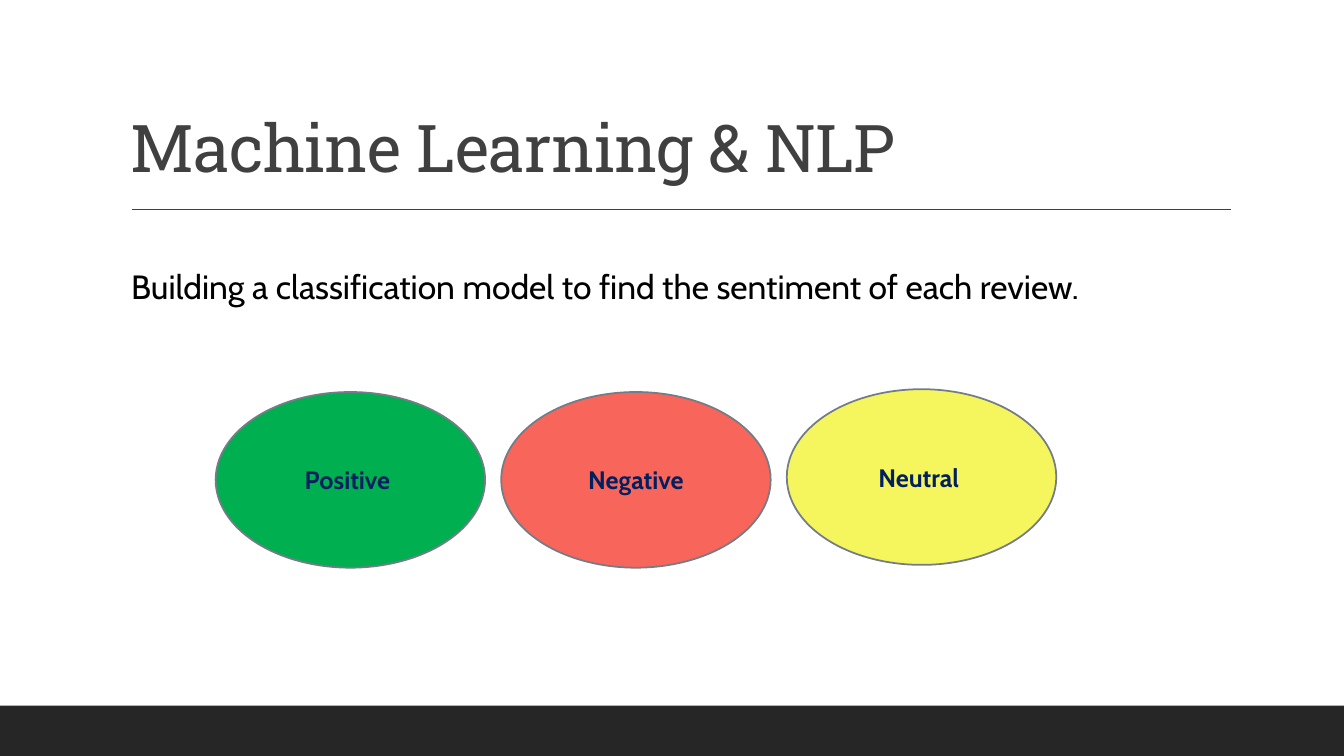
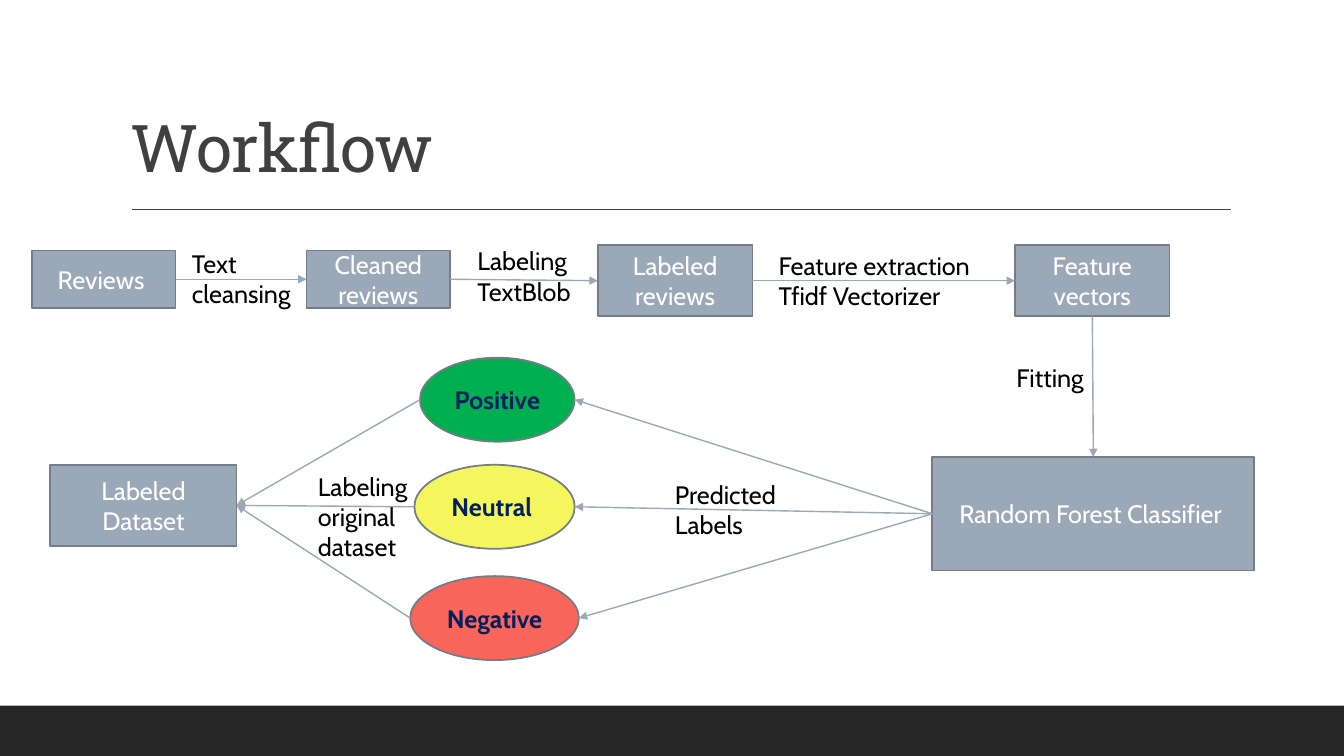
from dataclasses import dataclass
from typing import NamedTuple

import lxml.etree
import pptx
import pptx.dml.color
import pptx.enum.shapes
import pptx.enum.text
import pptx.oxml.ns
import pptx.presentation
import pptx.shapes.autoshape
import pptx.shapes.connector
import pptx.slide
import pptx.text.text
import pptx.util

Pt = pptx.util.Pt
RGBColor = pptx.dml.color.RGBColor
ShapeKind = pptx.enum.shapes.MSO_SHAPE
Anchor = pptx.enum.text.MSO_ANCHOR
Align = pptx.enum.text.PP_ALIGN
qn = pptx.oxml.ns.qn


@dataclass(frozen=True)
class Theme:
    title_font: str = "Roboto Slab"
    body_font: str = "Cabin"
    title_size: float = 47
    lead_size: float = 24
    body_size: float = 18
    rule_width: float = 1
    outline_width: float = 1.25
    band: str = "262626"
    title: str = "404040"
    text: str = "000000"
    box: str = "9BA8B7"
    box_text: str = "FFFFFF"
    outline: str = "737C87"
    sentiment_text: str = "002060"
    positive: str = "00B050"
    negative: str = "F8655A"
    neutral: str = "F5F55D"


THEME = Theme()
SLIDE_WIDTH, SLIDE_HEIGHT = 960, 540
BAND_HEIGHT = 36


class Point(NamedTuple):
    x: float
    y: float


class Area(NamedTuple):
    left: float
    top: float
    width: float
    height: float

    def side(self, name: str) -> Point:
        """Return the middle of the named side."""
        middle_x = self.left + self.width / 2
        middle_y = self.top + self.height / 2
        return {
            "left": Point(self.left, middle_y),
            "right": Point(self.left + self.width, middle_y),
            "top": Point(middle_x, self.top),
            "bottom": Point(middle_x, self.top + self.height),
        }[name]


class Sentiment(NamedTuple):
    text: str
    fill: str


class Label(NamedTuple):
    text: str
    area: Area


class Arrow(NamedTuple):
    start: str
    start_side: str
    end: str
    end_side: str


POSITIVE = Sentiment("Positive ", THEME.positive)
NEGATIVE = Sentiment("Negative", THEME.negative)
NEUTRAL = Sentiment("Neutral ", THEME.neutral)

WORKFLOW_BOXES = [
    Label("Reviews ", Area(23, 179, 102.5, 41)),
    Label("Cleaned reviews", Area(219, 179, 102.5, 41)),
    Label("Labeled reviews", Area(427, 175, 110.5, 51)),
    Label("Feature vectors", Area(725, 175, 110.5, 51)),
    Label("Random Forest Classifier ", Area(666, 326.5, 230, 81)),
    Label("Labeled Dataset", Area(36, 332, 133, 58)),
]
WORKFLOW_SENTIMENTS = [
    (POSITIVE, Area(300, 255.5, 110.5, 60)),
    (NEUTRAL, Area(296, 332, 114.5, 60)),
    (NEGATIVE, Area(293, 411.5, 120.5, 60)),
]
STEP_LABELS = [
    Label("Text cleansing", Area(130, 174, 93, 51)),
    Label("Labeling TextBlob", Area(334, 172, 111, 51)),
    Label("Feature extraction\nTfidf Vectorizer", Area(549, 175, 198, 51)),
    Label("Fitting", Area(719, 255.5, 92, 29)),
    Label("Predicted Labels", Area(475, 339, 109.5, 51)),
    Label("Labeling original dataset", Area(220, 333, 94, 73)),
]


def color(value: str) -> RGBColor:
    return RGBColor.from_string(value)


def lengths(area: Area) -> list[pptx.util.Length]:
    return [Pt(value) for value in area]


def write(
    frame: pptx.text.text.TextFrame,
    text: str,
    text_color: str,
    size: float = THEME.body_size,
    font: str = THEME.body_font,
    bold: bool = False,
    align: Align = Align.LEFT,
    anchor: Anchor = Anchor.TOP,
) -> None:
    frame.word_wrap = True
    frame.vertical_anchor = anchor
    frame.text = text
    for paragraph in frame.paragraphs:
        paragraph.alignment = align
        paragraph.font.name = font
        paragraph.font.size = Pt(size)
        paragraph.font.bold = bold
        paragraph.font.color.rgb = color(text_color)


def add_text(
    slide: pptx.slide.Slide, label: Label, size: float = THEME.body_size
) -> None:
    box = slide.shapes.add_textbox(*lengths(label.area))
    write(box.text_frame, label.text, THEME.text, size)


def add_filled(
    slide: pptx.slide.Slide, kind: ShapeKind, area: Area, fill: str
) -> pptx.shapes.autoshape.Shape:
    shape = slide.shapes.add_shape(kind, *lengths(area))
    shape.shadow.inherit = False
    shape.fill.solid()
    shape.fill.fore_color.rgb = color(fill)
    shape.line.color.rgb = color(THEME.outline)
    shape.line.width = Pt(THEME.outline_width)
    return shape


def add_box(slide: pptx.slide.Slide, label: Label) -> None:
    shape = add_filled(slide, ShapeKind.RECTANGLE, label.area, THEME.box)
    write(shape.text_frame, label.text, THEME.box_text,
          align=Align.CENTER, anchor=Anchor.MIDDLE)


def add_sentiment(
    slide: pptx.slide.Slide, sentiment: Sentiment, area: Area
) -> None:
    shape = add_filled(slide, ShapeKind.OVAL, area, sentiment.fill)
    write(shape.text_frame, sentiment.text, THEME.sentiment_text,
          bold=True, align=Align.CENTER, anchor=Anchor.MIDDLE)


def add_line(
    slide: pptx.slide.Slide, start: Point, end: Point, line_color: str
) -> pptx.shapes.connector.Connector:
    line = slide.shapes.add_connector(
        pptx.enum.shapes.MSO_CONNECTOR.STRAIGHT,
        *(Pt(value) for value in (*start, *end)),
    )
    line.line.color.rgb = color(line_color)
    line.line.width = Pt(THEME.rule_width)
    lxml.etree.SubElement(line._element.spPr, qn("a:effectLst"))
    return line


def add_arrow(slide: pptx.slide.Slide, start: Point, end: Point) -> None:
    arrow = add_line(slide, start, end, THEME.box)
    outline = arrow.line._get_or_add_ln()
    lxml.etree.SubElement(outline, qn("a:tailEnd"), type="triangle")


def add_titled_slide(
    presentation: pptx.presentation.Presentation, title: str
) -> pptx.slide.Slide:
    """Add a blank slide with the shared band, rule and title."""
    slide = presentation.slides.add_slide(presentation.slide_layouts[6])
    band_area = Area(0, SLIDE_HEIGHT - BAND_HEIGHT, SLIDE_WIDTH, BAND_HEIGHT)
    band = add_filled(slide, ShapeKind.RECTANGLE, band_area, THEME.band)
    band.line.fill.background()
    add_line(slide, Point(94.5, 149.5), Point(879, 149.5), THEME.title)

    box = slide.shapes.add_textbox(*lengths(Area(86.5, 22.5, 792, 114.5)))
    write(box.text_frame, title, THEME.title, THEME.title_size,
          THEME.title_font, anchor=Anchor.BOTTOM)
    paragraph = box.text_frame.paragraphs[0]
    paragraph.line_spacing = 0.9
    paragraph.font._element.set("spc", "-50")
    return slide


def build_model_slide(presentation: pptx.presentation.Presentation) -> None:
    slide = add_titled_slide(presentation, "Machine Learning & NLP")
    lead = "Building a classification model to find the sentiment of each review."
    add_text(slide, Label(lead, Area(86.5, 186.5, 716, 36)), THEME.lead_size)
    sentiments = [(POSITIVE, 280), (NEGATIVE, 280), (NEUTRAL, 278)]
    for column, (sentiment, top) in enumerate(sentiments):
        area = Area(154 + column * 204, top, 192.5, 125.5)
        add_sentiment(slide, sentiment, area)


def build_workflow_slide(presentation: pptx.presentation.Presentation) -> None:
    slide = add_titled_slide(presentation, "Workflow")
    areas: dict[str, Area] = {}
    for label in WORKFLOW_BOXES:
        add_box(slide, label)
        areas[label.text] = label.area
    for sentiment, area in WORKFLOW_SENTIMENTS:
        add_sentiment(slide, sentiment, area)
        areas[sentiment.text] = area

    *steps, classifier, dataset = [label.text for label in WORKFLOW_BOXES]
    arrows = [
        Arrow(start, "right", end, "left")
        for start, end in zip(steps, steps[1:])
    ]
    arrows.append(Arrow(steps[-1], "bottom", classifier, "top"))
    for sentiment, _ in WORKFLOW_SENTIMENTS:
        arrows.append(Arrow(classifier, "left", sentiment.text, "right"))
        arrows.append(Arrow(sentiment.text, "left", dataset, "right"))
    for arrow in arrows:
        add_arrow(slide, areas[arrow.start].side(arrow.start_side),
                  areas[arrow.end].side(arrow.end_side))

    for label in STEP_LABELS:
        add_text(slide, label)


def main() -> None:
    presentation = pptx.Presentation()
    presentation.slide_width = Pt(SLIDE_WIDTH)
    presentation.slide_height = Pt(SLIDE_HEIGHT)
    build_model_slide(presentation)
    build_workflow_slide(presentation)
    presentation.save("out.pptx")


if __name__ == "__main__":
    main()
